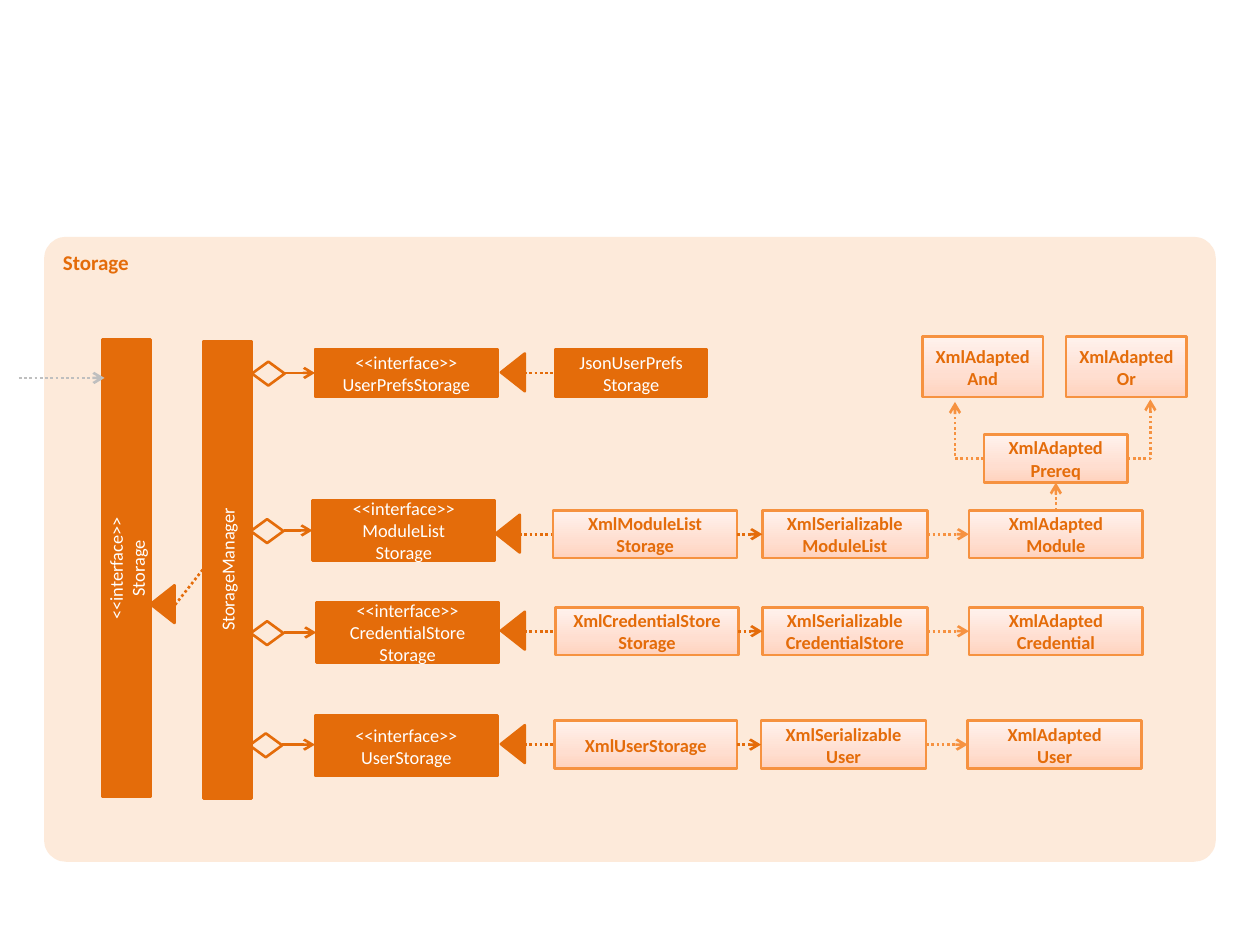
from lxml.etree import SubElement
from pptx import Presentation
from pptx.dml.color import RGBColor
from pptx.enum.dml import MSO_LINE
from pptx.enum.shapes import MSO_CONNECTOR, MSO_SHAPE
from pptx.enum.text import MSO_ANCHOR, PP_ALIGN
from pptx.oxml.ns import qn
from pptx.util import Pt

SCALE = 9144
ORANGE, LIGHT, GREY, WHITE, PANEL = "E46C0A", "F69240", "BFBFBF", "FFFFFF", "FDEADA"
GRADIENT = [(0, "FFD2BD"), (35, "FFDED0"), (100, "FFF2ED")]


def rgb(value):
    return RGBColor.from_string(value)


def emu(*values):
    return [v * SCALE for v in values]


class Diagram:
    font = "Calibri"
    size = 10.5
    weight = 1.5

    def __init__(self, slide):
        self.s = slide

    def shape(self, kind, x, y, w, h, fill=ORANGE, line=ORANGE, rotation=0):
        sp = self.s.shapes.add_shape(kind, *emu(x, y, w, h))
        sp.shadow.inherit = False
        sp.rotation = rotation
        if fill:
            sp.fill.solid()
            sp.fill.fore_color.rgb = rgb(fill)
        else:
            sp.fill.background()
        if line:
            sp.line.color.rgb = rgb(line)
            sp.line.width = Pt(self.weight)
        else:
            sp.line.fill.background()
        return sp

    def text(self, sp, text, color, size=size, bold=False, align=PP_ALIGN.CENTER):
        tf = sp.text_frame
        tf.word_wrap = True
        tf.text = text
        for p in tf.paragraphs:
            p.alignment = align
            for r in p.runs:
                r.font.name = self.font
                r.font.size = Pt(size)
                r.font.bold = bold
                r.font.color.rgb = rgb(color)
        return tf

    def panel(self, x, y, w, h, title):
        sp = self.shape(MSO_SHAPE.ROUNDED_RECTANGLE, x, y, w, h, PANEL, None)
        sp.adjustments[0] = 0.035
        tf = self.text(sp, title, ORANGE, 12, True, PP_ALIGN.LEFT)
        tf.vertical_anchor = MSO_ANCHOR.TOP

    def solid_box(self, x, y, w, h, text, rotation=0):
        sp = self.shape(MSO_SHAPE.RECTANGLE, x, y, w, h, rotation=rotation)
        tf = self.text(sp, text, WHITE)
        tf.vertical_anchor = MSO_ANCHOR.MIDDLE

    def xml_box(self, x, y, w, h, text):
        sp = self.shape(MSO_SHAPE.RECTANGLE, x, y, w, h, line=LIGHT)
        sp.fill.gradient()
        sp.fill.gradient_angle = 90
        stops = sp._element.spPr.find(qn("a:gradFill")).find(qn("a:gsLst"))
        for stop in list(stops):
            stops.remove(stop)
        for position, color in GRADIENT:
            stop = SubElement(stops, qn("a:gs"), pos=str(position * 1000))
            SubElement(stop, qn("a:srgbClr"), val=color)
        tf = self.text(sp, text, ORANGE, bold=True)
        tf.vertical_anchor = MSO_ANCHOR.MIDDLE
        tf.margin_left = tf.margin_right = 0

    def triangle(self, x, y):
        self.shape(MSO_SHAPE.ISOSCELES_TRIANGLE, x, y, 30, 19, rotation=270)

    def diamond(self, x, y):
        self.shape(MSO_SHAPE.FLOWCHART_DECISION, x, y, 26, 19, fill=None)

    def line(self, x1, y1, x2, y2, color=ORANGE, dotted=True, arrow=True,
             kind=MSO_CONNECTOR.STRAIGHT, preset=None):
        c = self.s.shapes.add_connector(kind, *emu(x1, y1, x2, y2))
        c.line.color.rgb = rgb(color)
        c.line.width = Pt(self.weight)
        if dotted:
            c.line.dash_style = MSO_LINE.ROUND_DOT
        spPr = c._element.spPr
        if arrow:
            SubElement(spPr.find(qn("a:ln")), qn("a:tailEnd"), type="arrow")
        SubElement(spPr, qn("a:effectLst"))
        if preset:
            spPr.find(qn("a:prstGeom")).set("prst", preset)

    def elbow(self, *ends, color=ORANGE, arrow=True, preset=None):
        self.line(*ends, color=color, arrow=arrow, kind=MSO_CONNECTOR.ELBOW, preset=preset)

    def interface(self, x, y, h, name, diamond_x, axis, triangle_x, link_y, link_end):
        self.solid_box(x, y, 145, h, "<<interface>>\v" + name)
        self.diamond(diamond_x, axis - 9)
        self.line(diamond_x + 26, axis, x, axis, dotted=False)
        self.elbow(triangle_x + 24, link_y, link_end, link_y, arrow=False)
        self.triangle(triangle_x, link_y - 10)

    def xml_chain(self, y, boxes):
        for x, w, text in boxes:
            self.xml_box(x, y, w, 38, text)
        colors = [ORANGE, LIGHT]
        for (x, w, _), (following, _, _), color in zip(boxes, boxes[1:], colors):
            self.elbow(x + w, y + 19, following, y + 19, color=color)


def main():
    prs = Presentation()
    prs.slide_width, prs.slide_height = emu(1000, 750)
    d = Diagram(prs.slides.add_slide(prs.slide_layouts[6]))

    d.panel(35, 188, 930, 496, "Storage")
    d.solid_box(-1, 433, 363, 38, "StorageManager", 270)
    d.solid_box(-81, 432, 363, 38, "<<interface>>\nStorage", 270)
    d.triangle(114, 470)
    d.line(139, 480, 161, 452, arrow=False)
    d.elbow(15, 300, 83, 300, color=GREY)

    for row in [
        (250, 277, 38, "UserPrefsStorage", 200, 296, 392, 296, 441),
        (248, 397, 48, "ModuleList\vStorage", 199, 421, 388, 424, 439),
        (251, 478, 48, "CredentialStore\vStorage", 199, 502, 392, 501, 441),
        (250, 568, 48, "UserStorage", 198, 591, 392, 591, 440),
    ]:
        d.interface(*row)
    d.solid_box(441, 277, 120, 38, "JsonUserPrefs\vStorage")

    for y, x, w, shift, storage, name, adapted in [
        (405, 439, 146, 0, "XmlModuleList\vStorage", "ModuleList", "Module"),
        (482, 441, 145, 0, "XmlCredentialStore\vStorage", "CredentialStore", "Credential"),
        (572, 440, 145, -1, "XmlUserStorage", "User", "User"),
    ]:
        d.xml_chain(y, [
            (x, w, storage),
            (605 + shift, 131, "XmlSerializable\v" + name),
            (769 + shift, 138, "XmlAdapted\v" + adapted),
        ])

    for x, y, w, h, name in [
        (781, 345, 114, 38, "Prereq"),
        (732, 267, 96, 48, "And"),
        (846, 267, 96, 48, "Or"),
    ]:
        d.xml_box(x, y, w, h, "XmlAdapted\v" + name)
    d.line(838, 405, 838, 383, color=LIGHT)
    for ends in [(781, 364, 758, 319), (895, 364, 913, 317)]:
        d.elbow(*ends, color=LIGHT, preset="bentConnector2")

    prs.save("out.pptx")


if __name__ == "__main__":
    main()
